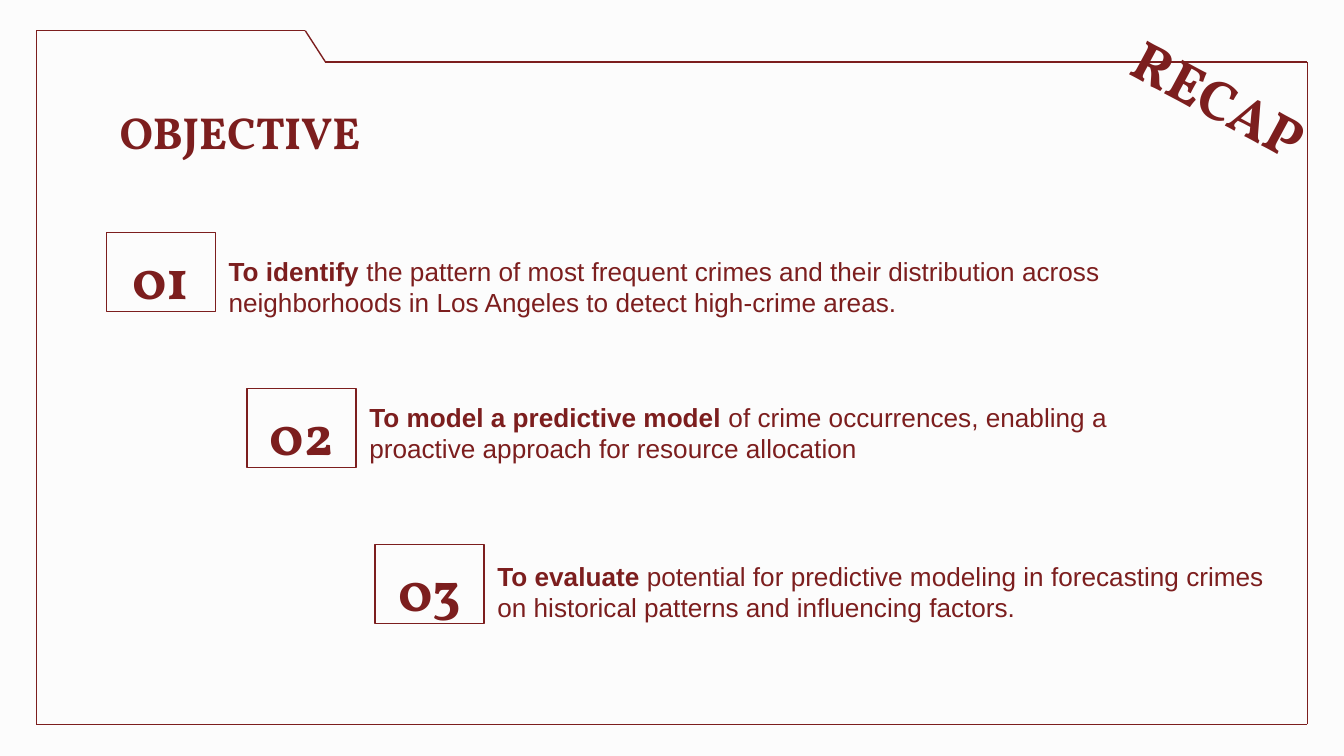
from itertools import pairwise
from lxml.etree import SubElement
from pptx import Presentation
from pptx.dml.color import RGBColor
from pptx.enum.shapes import MSO_CONNECTOR as Connector, MSO_SHAPE as Shape
from pptx.enum.text import MSO_ANCHOR as Anchor, PP_ALIGN as Align
from pptx.oxml.ns import qn
from pptx.util import Cm, Pt

HEADING = "OBJECTIVE"
STAMP = "RECAP"
OBJECTIVES = [
    {"number": "01", "lead": "To identify",
     "detail": " the pattern of most frequent crimes and their distribution across "
               "neighborhoods in Los Angeles to detect high-crime areas.",
     "left": 2.01, "drop": 0.18, "width": 16.99},
    {"number": "02", "lead": "To model a predictive model",
     "detail": " of crime occurrences, enabling a proactive approach for resource allocation",
     "left": 4.67, "drop": 0, "width": 15.42},
    {"number": "03", "lead": "To evaluate",
     "detail": " potential for predictive modeling in forecasting crimes on historical "
               "patterns and influencing factors.",
     "left": 7.09, "drop": 0.05, "width": 15.42},
]
FOLDER = [(0.69, 0.58), (5.77, 0.58), (6.15, 1.17),
          (24.71, 1.17), (24.71, 13.69), (0.69, 13.69)]
THEME = {
    "paper": RGBColor.from_string("FCFCFC"),
    "ink": RGBColor.from_string("7C1E1E"),
    "display": "Vollkorn", "body": "Arial",
    "heading": Pt(24), "accent": Pt(30), "text": Pt(14), "line": Pt(0.75),
}
FIRST_TOP, ROW_STEP = 4.39, 2.95
NUMBER_WIDTH, NUMBER_HEIGHT = 2.06, 1.5


def style_line(line):
    line.color.rgb = THEME["ink"]
    line.width = THEME["line"]


def write(shape, runs, face, size, bold=None, anchor=Anchor.TOP):
    frame = shape.text_frame
    frame.word_wrap = True
    frame.vertical_anchor = anchor
    frame.margin_left = frame.margin_right = Cm(0.25)
    frame.margin_top = frame.margin_bottom = Cm(0.25)
    paragraph = frame.paragraphs[0]
    paragraph.font.name = THEME[face]
    paragraph.font.size = THEME[size]
    paragraph.font.color.rgb = THEME["ink"]
    paragraph.font.bold = bold
    for words in runs:
        paragraph.add_run().text = words
    return paragraph


def add_text(slide, box, *args, **options):
    label = slide.shapes.add_textbox(*map(Cm, box))
    return label, write(label, *args, **options)


def draw_folder(slide):
    for start, end in pairwise(FOLDER + FOLDER[:1]):
        edge = slide.shapes.add_connector(Connector.STRAIGHT, *map(Cm, start + end))
        style_line(edge.line)
        SubElement(edge._element.spPr, qn("a:effectLst"))


def draw_objective(slide, row, objective):
    left, top = objective["left"], FIRST_TOP + row * ROW_STEP
    detail_box = (left + NUMBER_WIDTH, top + objective["drop"], objective["width"], 1.4)
    _, statement = add_text(slide, detail_box, (objective["lead"], objective["detail"]),
                            "body", "text")
    statement.runs[0].font.bold = True

    number = slide.shapes.add_shape(
        Shape.RECTANGLE, *map(Cm, (left, top, NUMBER_WIDTH, NUMBER_HEIGHT)))
    number.shadow.inherit = False
    number.fill.solid()
    number.fill.fore_color.rgb = THEME["paper"]
    style_line(number.line)
    numeral = write(number, [objective["number"]], "display", "accent", True, Anchor.MIDDLE)
    numeral.alignment = Align.CENTER
    numeral.line_spacing = 1.15


def main():
    deck = Presentation()
    deck.slide_width, deck.slide_height = Cm(25.4), Cm(14.29)
    slide = deck.slides.add_slide(deck.slide_layouts[6])
    slide.background.fill.solid()
    slide.background.fill.fore_color.rgb = THEME["paper"]

    draw_folder(slide)
    add_text(slide, (2.01, 1.73, 5.77, 1.32), [HEADING], "display", "heading", bold=True)
    for row, objective in enumerate(OBJECTIVES):
        draw_objective(slide, row, objective)
    stamp, _ = add_text(slide, (21.08, 1.02, 4.19, 1.6), [STAMP],
                        "display", "accent", bold=True)
    stamp.rotation = 28.4
    deck.save("out.pptx")


if __name__ == "__main__":
    main()
